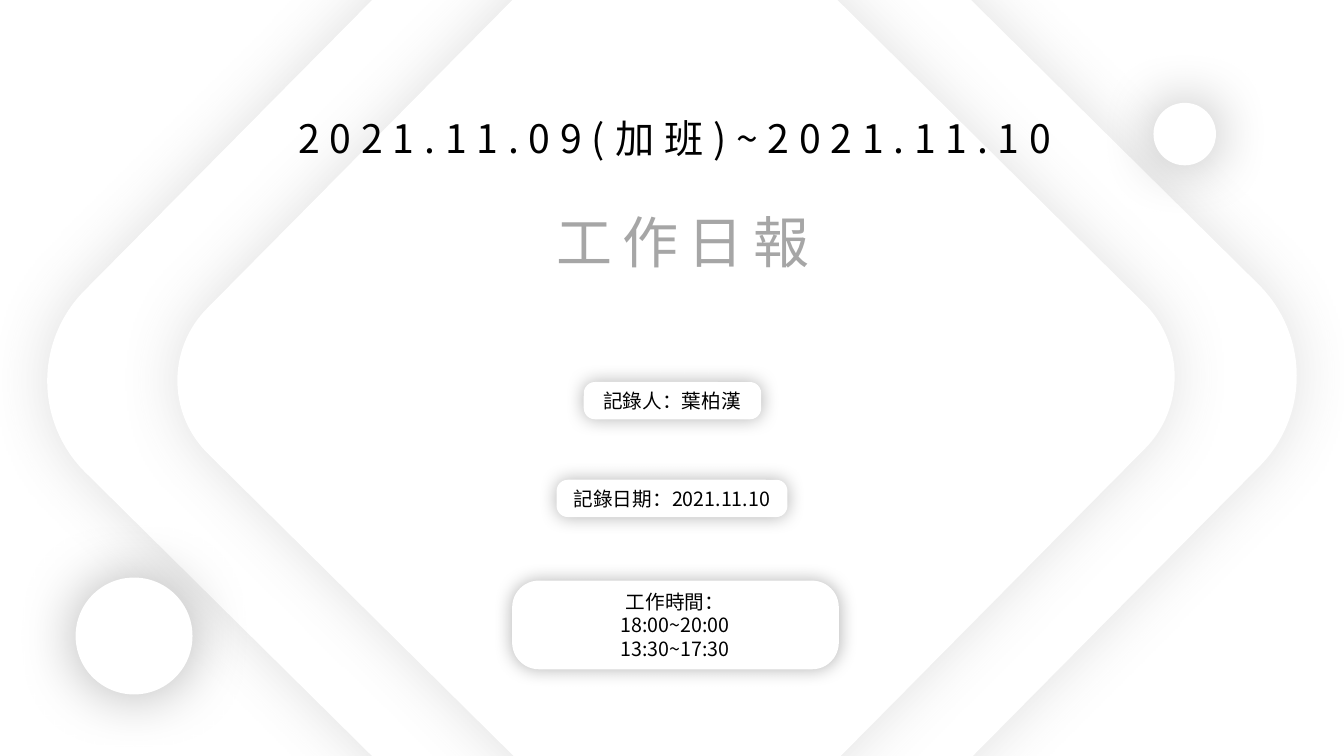
from lxml import etree
from pptx import Presentation
from pptx.dml.color import RGBColor
from pptx.enum import shapes, text
from pptx.oxml import ns
from pptx.util import Inches, Pt

WHITE = RGBColor(0xFF, 0xFF, 0xFF)
BLACK = RGBColor(0x00, 0x00, 0x00)
DARK = RGBColor(0x59, 0x59, 0x59)
GREY = RGBColor(0xA6, 0xA6, 0xA6)
FONT = "Noto Sans CJK SC"
ROUND = shapes.MSO_SHAPE.ROUNDED_RECTANGLE
OVAL = shapes.MSO_SHAPE.OVAL


def plate(home, kind, at, tint=BLACK, alpha=30, blur=43, bend=None, turn=0):
    """Add a white shape with a soft shadow spreading evenly around it."""
    shape = home.add_shape(kind, *map(Inches, at))
    shape.rotation = turn
    if bend is not None:
        shape.adjustments[0] = bend
    shape.fill.solid()
    shape.fill.fore_color.rgb = WHITE
    shape.line.fill.background()
    shape.shadow.inherit = False
    glow = etree.SubElement(
        shape.element.spPr.find(ns.qn("a:effectLst")), ns.qn("a:outerShdw"),
        blurRad=str(Pt(blur)), dist="0", dir="0", algn="ctr", rotWithShape="0")
    hue = etree.SubElement(glow, ns.qn("a:srgbClr"), val=str(tint))
    etree.SubElement(hue, ns.qn("a:alpha"), val=str(alpha * 1000))


def write(home, at, lines, size=14, color=BLACK, track=0):
    """Add centred lines of text; track is the letter spacing in points."""
    frame = home.add_textbox(*map(Inches, at)).text_frame
    frame.word_wrap = True
    frame.auto_size = text.MSO_AUTO_SIZE.SHAPE_TO_FIT_TEXT
    for i, line in enumerate(lines):
        para = frame.paragraphs[0] if i == 0 else frame.add_paragraph()
        para.alignment = text.PP_ALIGN.CENTER
        para.line_spacing = Pt(size * 1.2)
        run = para.add_run()
        run.text = line
        run.font.size = Pt(size)
        run.font.color.rgb = color
        run.font.name = FONT
        props = run.font._element
        etree.SubElement(props, ns.qn("a:ea"), typeface=FONT)
        if track:
            props.set("spc", str(track * 100))


deck = Presentation()
deck.slide_width, deck.slide_height = Inches(13.33), Inches(7.5)
slide = deck.slides.add_slide(deck.slide_layouts[6])
slide.background.fill.solid()
slide.background.fill.fore_color.rgb = WHITE
base = slide.shapes

# Nested diamonds
for left, top, side in [(1.91, -1, 9.51), (2.91, -0.04, 7.59)]:
    plate(base, ROUND, (left, top, side, side), tint=DARK, alpha=19,
          bend=0.134, turn=44.7)

# Title
write(base, (2.66, 1.09, 8.07, 0.57), ["2021.11.09(加班)~2021.11.10"],
      size=28, track=7)
write(base, (4.4, 2.01, 4.75, 0.77), ["工作日報"], size=40, color=GREY, track=7)

# Discs
for left, top, side in [(0.75, 5.73, 1.16), (11.44, 1.02, 0.62)]:
    plate(base, OVAL, (left, top, side, side))

# Record cards
cards = [
    ((5.79, 3.79, 1.76, 0.37), (5.62, 3.81, 2.09, 0.34), ["記錄人：葉柏漢"]),
    ((5.52, 4.76, 2.29, 0.37), (5.46, 4.78, 2.41, 0.34),
     ["記錄日期：2021.11.10"]),
    ((5.08, 5.76, 3.24, 0.88), (4.99, 5.8, 3.41, 0.81),
     ["工作時間：", "18:00~20:00", "13:30~17:30"]),
]
for box, area, lines in cards:
    card = base.add_group_shape().shapes
    plate(card, ROUND, box, blur=13, bend=0.302)
    write(card, area, lines)

deck.save("out.pptx")
